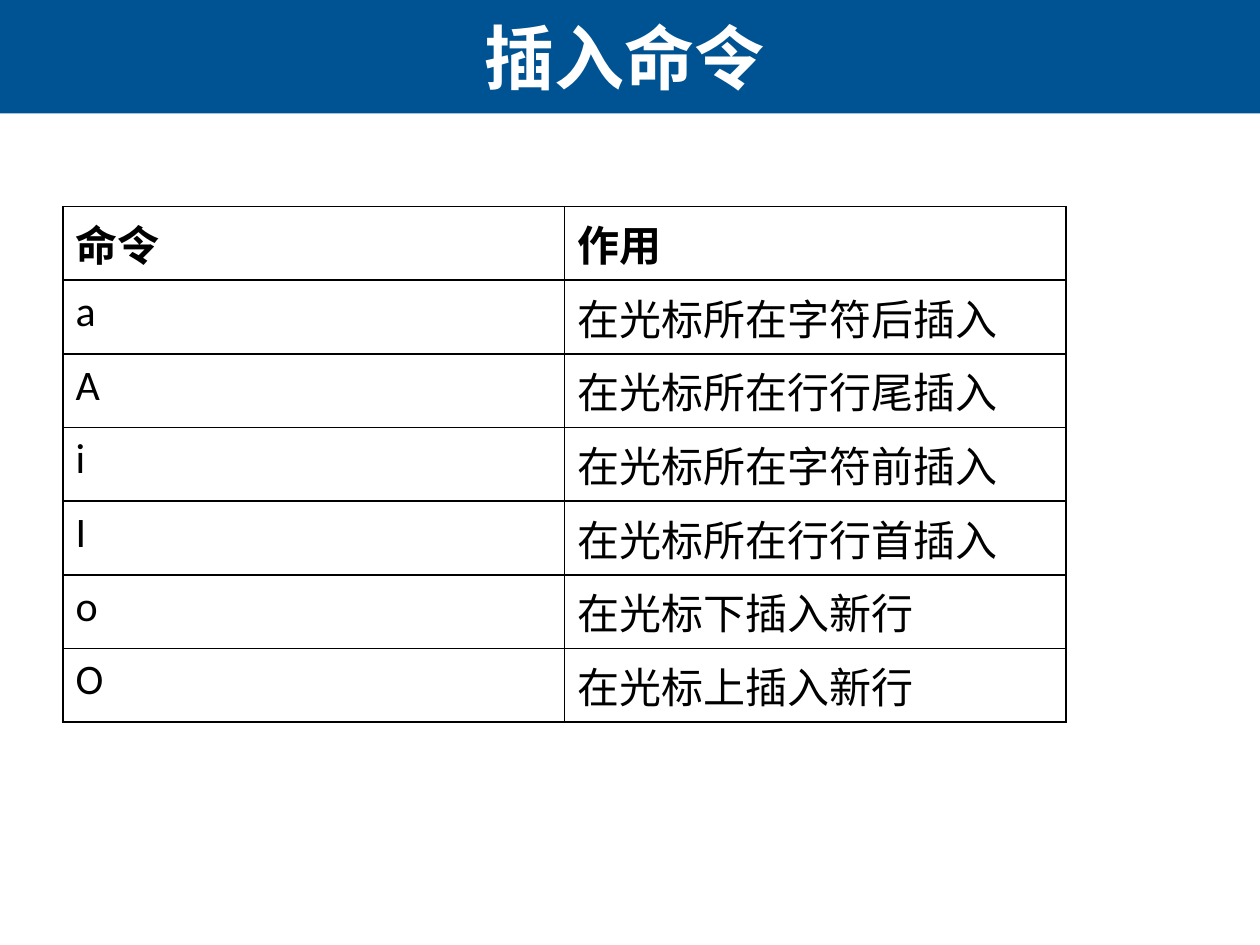
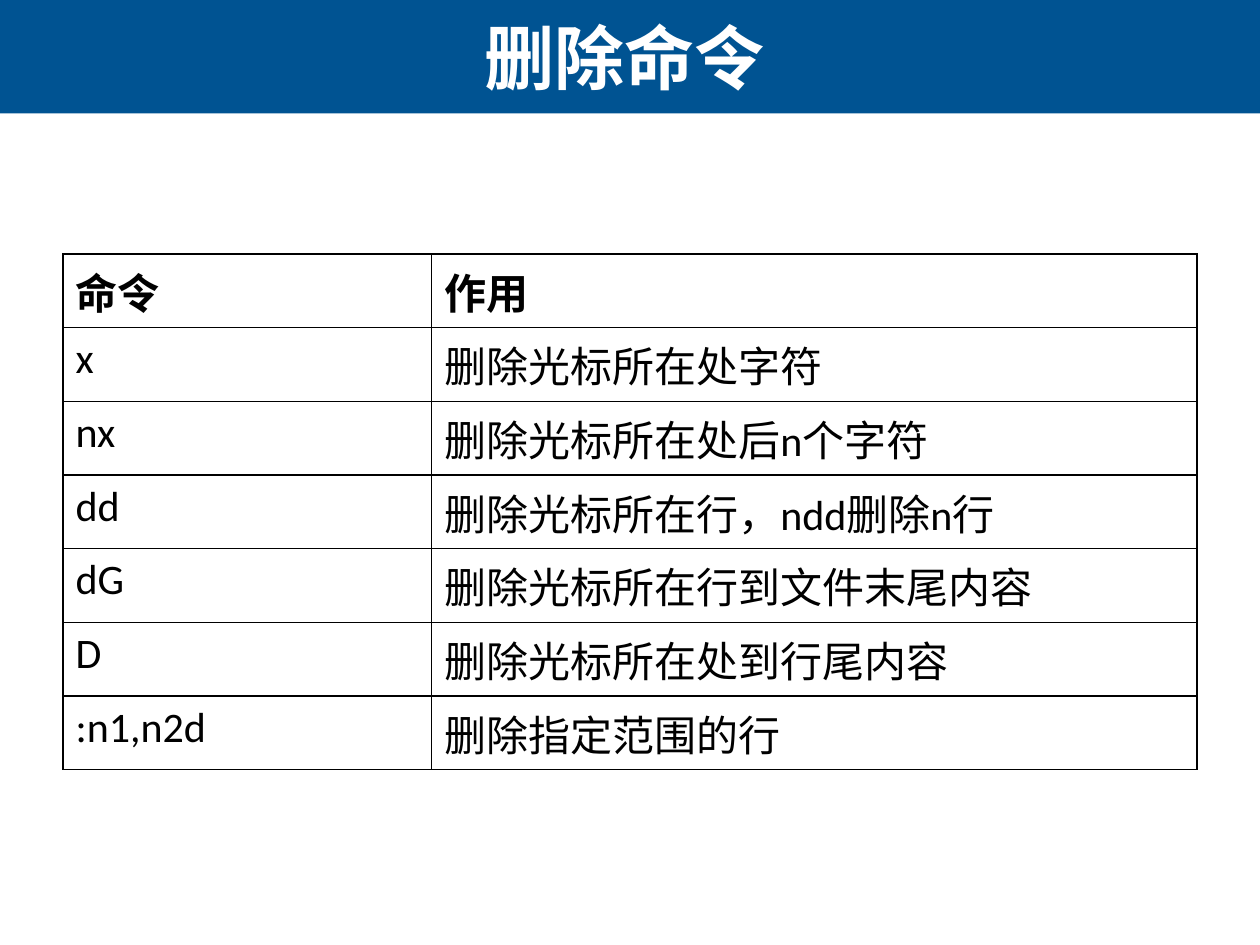
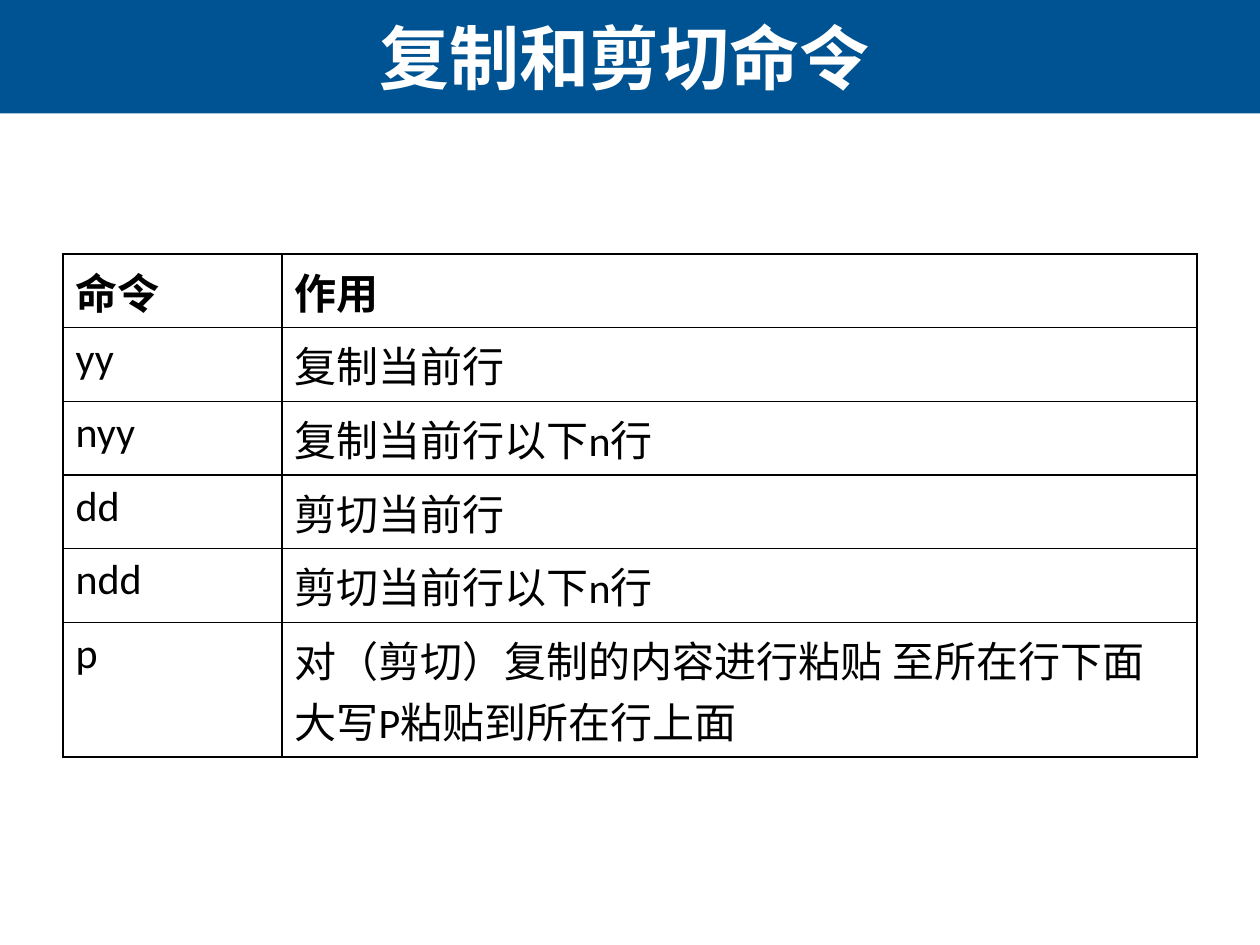
from dataclasses import dataclass

from lxml.etree import SubElement
from pptx import Presentation
from pptx.dml.color import RGBColor
from pptx.enum.shapes import MSO_SHAPE
from pptx.enum.text import MSO_ANCHOR, PP_ALIGN
from pptx.oxml.ns import qn
from pptx.util import Pt


@dataclass(frozen=True)
class Theme:
    band: str = "005392"
    title: str = "FFFFFF"
    ink: str = "000000"
    title_font: str = "Arial"
    table_font: str = "Calibri"
    title_size: int = 40
    table_size: int = 24
    border_width: int = 1


SLIDE_WIDTH, SLIDE_HEIGHT = 720, 540
BAND_HEIGHT = 64.8
TABLE_LEFT = 36
ROW_HEIGHT = 42.1
EXTRA_LINE = 34.5
TITLE_ONLY = 5
HEADINGS = ("命令", "作用")

PAGES = [
    {
        "title": "插入命令",
        "top": 118,
        "widths": (286.6, 286.6),
        "commands": [
            ("a", "在光标所在字符后插入"),
            ("A", "在光标所在行行尾插入"),
            ("i", "在光标所在字符前插入"),
            ("I", "在光标所在行行首插入"),
            ("o", "在光标下插入新行"),
            ("O", "在光标上插入新行"),
        ],
    },
    {
        "title": "删除命令",
        "top": 145.2,
        "widths": (210.7, 437.3),
        "commands": [
            ("x", "删除光标所在处字符"),
            ("nx", "删除光标所在处后n个字符"),
            ("dd", "删除光标所在行，ndd删除n行"),
            ("dG", "删除光标所在行到文件末尾内容"),
            ("D", "删除光标所在处到行尾内容"),
            (":n1,n2d", "删除指定范围的行"),
        ],
    },
    {
        "title": "复制和剪切命令",
        "top": 145.2,
        "widths": (125.2, 522.8),
        "commands": [
            ("yy", "复制当前行"),
            ("nyy", "复制当前行以下n行"),
            ("dd", "剪切当前行"),
            ("ndd", "剪切当前行以下n行"),
            ("p", "对（剪切）复制的内容进行粘贴 至所在行下面\n大写P粘贴到所在行上面"),
        ],
    },
]


def apply_format(target, values):
    for name, value in values.items():
        setattr(target, name, value)


class DeckBuilder:
    def __init__(self, theme):
        self.theme = theme
        self.deck = Presentation()
        apply_format(self.deck, {"slide_width": Pt(SLIDE_WIDTH), "slide_height": Pt(SLIDE_HEIGHT)})
        self.page = None

    def add_page(self):
        self.page = self.deck.slides.add_slide(self.deck.slide_layouts[TITLE_ONLY])

    def set_text(self, frame, text, font, size, color, bold, alignment):
        frame.text = text
        for para in frame.paragraphs:
            para.alignment = alignment
            for span in para.runs:
                apply_format(span.font, {"name": font, "size": Pt(size), "bold": bold})
                span.font.color.rgb = RGBColor.from_string(color)

    def add_band(self):
        band = self.page.shapes.add_shape(
            MSO_SHAPE.RECTANGLE, 0, 0, Pt(SLIDE_WIDTH), Pt(BAND_HEIGHT)
        )
        band.shadow.inherit = False
        band.fill.solid()
        band.fill.fore_color.rgb = RGBColor.from_string(self.theme.band)
        band.line.fill.background()
        self.page.shapes.title.element.addprevious(band.element)

    def add_title(self, text):
        box = self.page.shapes.title
        apply_format(box, {"left": Pt(1.5), "top": 0, "width": Pt(710.6), "height": Pt(BAND_HEIGHT)})
        apply_format(box.text_frame, {"vertical_anchor": MSO_ANCHOR.MIDDLE, "word_wrap": True})
        self.set_text(box.text_frame, text, self.theme.title_font, self.theme.title_size,
                      self.theme.title, True, PP_ALIGN.CENTER)

    def add_borders(self, cell):
        properties = cell._tc.get_or_add_tcPr()
        for side in ("lnL", "lnR", "lnT", "lnB"):
            border = SubElement(properties, qn(f"a:{side}"), w=str(Pt(self.theme.border_width)))
            fill = SubElement(border, qn("a:solidFill"))
            SubElement(fill, qn("a:srgbClr"), val=self.theme.ink)

    def add_table(self, top, widths, commands):
        rows = [HEADINGS, *commands]
        heights = [
            ROW_HEIGHT + EXTRA_LINE * max(text.count("\n") for text in row) for row in rows
        ]
        table = self.page.shapes.add_table(
            len(rows), len(widths), Pt(TABLE_LEFT), Pt(top), Pt(sum(widths)), Pt(sum(heights))
        ).table
        apply_format(table, {"first_row": False, "horz_banding": False})
        for column, width in zip(table.columns, widths):
            column.width = Pt(width)
        for row_index, (row, height) in enumerate(zip(rows, heights)):
            table.rows[row_index].height = Pt(height)
            for column_index, text in enumerate(row):
                cell = table.cell(row_index, column_index)
                self.set_text(cell.text_frame, text, self.theme.table_font, self.theme.table_size,
                              self.theme.ink, row_index == 0, PP_ALIGN.LEFT)
                self.add_borders(cell)
                cell.fill.background()


def main():
    builder = DeckBuilder(Theme())
    for content in PAGES:
        builder.add_page()
        builder.add_band()
        builder.add_title(content["title"])
        builder.add_table(content["top"], content["widths"], content["commands"])
    builder.deck.save("out.pptx")


if __name__ == "__main__":
    main()
